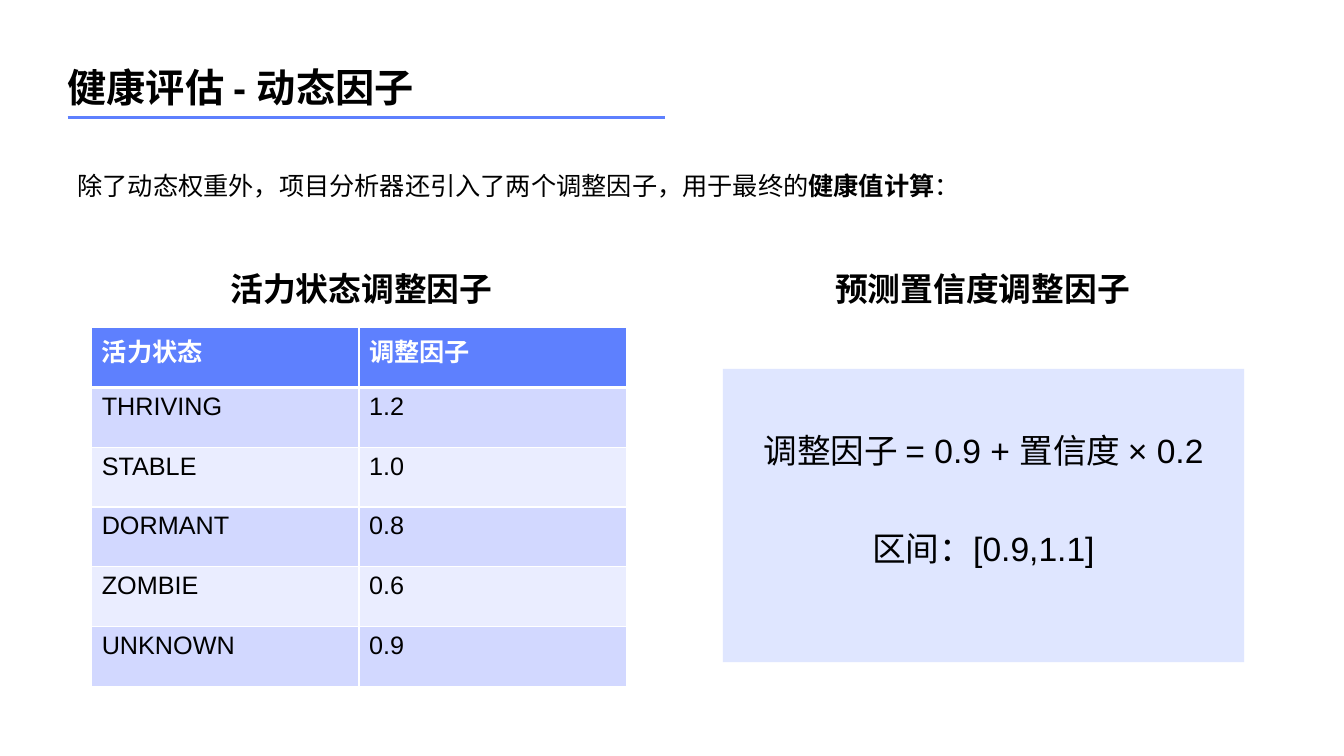
from pptx import Presentation
from pptx.dml.color import RGBColor
from pptx.enum.shapes import MSO_CONNECTOR as CONN, MSO_SHAPE as SHAPE
from pptx.enum.text import MSO_ANCHOR as ANCHOR, PP_ALIGN as ALIGN
from pptx.oxml.xmlchemy import OxmlElement
from pptx.util import Pt

PX = 9144
BLUE, PANEL, BLACK, WHITE = "5E80FE", "DFE6FF", "000000", "FFFFFF"
BANDS = "D2D8FF", "EAEDFF"
FACTORS = [
    ("活力状态", "调整因子"),
    ("THRIVING", "1.2"),
    ("STABLE", "1.0"),
    ("DORMANT", "0.8"),
    ("ZOMBIE", "0.6"),
    ("UNKNOWN", "0.9"),
]


def px(*values):
    """Turn pixel lengths into EMU."""
    return [v * PX for v in values]


def rgb(code):
    """Turn a hex string into a colour."""
    return RGBColor.from_string(code)


def set_all(obj, values):
    """Set attributes of an object from a dict."""
    for name, value in values.items():
        setattr(obj, name, value)


def add_run(p, text, size, color=BLACK, bold=False):
    """Append one formatted run to a paragraph."""
    r = p.add_run()
    r.text = text
    set_all(r.font, {"name": "Arial", "size": Pt(size), "bold": bold})
    r.font.color.rgb = rgb(color)


def set_frame(tf, margins=(0, 0, 0, 0)):
    """Make a text frame wrap from the top, with margins in px."""
    left, top, right, bottom = px(*margins)
    set_all(tf, {
        "word_wrap": True, "vertical_anchor": ANCHOR.TOP,
        "margin_left": left, "margin_top": top,
        "margin_right": right, "margin_bottom": bottom,
    })


def add_text(s, box, runs, size, margins=(0, 0, 0, 0), **para):
    """Add a one-paragraph text box from (text, bold) runs."""
    tf = s.shapes.add_textbox(*px(*box)).text_frame
    set_frame(tf, margins)
    p = tf.paragraphs[0]
    set_all(p, para)
    for text, bold in runs:
        add_run(p, text, size, bold=bold)


def add_rule(s, x1, x2, y):
    """Add the horizontal line under the title."""
    sp = s.shapes.add_connector(CONN.STRAIGHT, *px(x1, y, x2, y))
    sp.line.color.rgb = rgb(BLUE)
    sp.line.width = Pt(2)
    sp._element.spPr.append(OxmlElement("a:effectLst"))


def add_panel(s, box, lines):
    """Add the filled panel with its centred formula lines."""
    sp = s.shapes.add_shape(SHAPE.RECTANGLE, *px(*box))
    sp.shadow.inherit = False
    sp.fill.solid()
    sp.fill.fore_color.rgb = rgb(PANEL)
    sp.line.fill.background()
    tf = sp.text_frame
    set_frame(tf, (0, 50, 0, 0))
    for i, text in enumerate(lines):
        p = tf.add_paragraph() if i else tf.paragraphs[0]
        set_all(p, {"alignment": ALIGN.CENTER, "line_spacing": 1.25,
                    "space_before": Pt(34.5 if i else 0)})
        add_run(p, text, 24)


def add_border(cell, side, width):
    """Draw one white border of a table cell."""
    ln = OxmlElement(f"a:ln{side}")
    ln.set("w", str(Pt(width)))
    fill, clr = OxmlElement("a:solidFill"), OxmlElement("a:srgbClr")
    clr.set("val", WHITE)
    fill.append(clr)
    ln.append(fill)
    cell._tc.get_or_add_tcPr().append(ln)


def add_factor_table(s, box, rows):
    """Add the banded table with a header row."""
    table = s.shapes.add_table(len(rows), len(rows[0]), *px(*box)).table
    for i, row in enumerate(rows):
        for j, text in enumerate(row):
            cell = table.cell(i, j)
            for side in "LRTB":
                thick = (i, side) in ((0, "B"), (1, "T"))
                add_border(cell, side, 3 if thick else 1)
            cell.fill.solid()
            cell.fill.fore_color.rgb = rgb(BANDS[(i - 1) % 2] if i else BLUE)
            add_run(cell.text_frame.paragraphs[0], text, 18,
                    BLACK if i else WHITE, i == 0)


def main():
    """Build the slide and save it."""
    prs = Presentation()
    prs.slide_width, prs.slide_height = px(1333, 750)
    s = prs.slides.add_slide(prs.slide_layouts[6])
    add_text(s, (67, 58, 442, 67), [("健康评估 - 动态因子", True)], 28,
             line_spacing=1.11)
    add_rule(s, 67, 660, 117)
    add_text(s, (67, 164, 1025, 40), [
        ("除了动态权重外，项目分析器还引入了两个调整因子，用于最终的", False),
        ("健康值计算", True), ("：", False)], 18, (10, 5, 10, 5))
    for x, heading in ((67, "活力状态调整因子"), (683, "预测置信度调整因子")):
        add_text(s, (x, 266, 583, 39), [(heading, True)], 23.4,
                 alignment=ALIGN.CENTER, line_spacing=1.01)
    add_factor_table(s, (91, 325, 530, 356), FACTORS)
    add_panel(s, (717, 366, 517, 291),
              ["调整因子 = 0.9 + 置信度 × 0.2", "区间：[0.9,1.1]"])
    prs.save("out.pptx")


if __name__ == "__main__":
    main()
